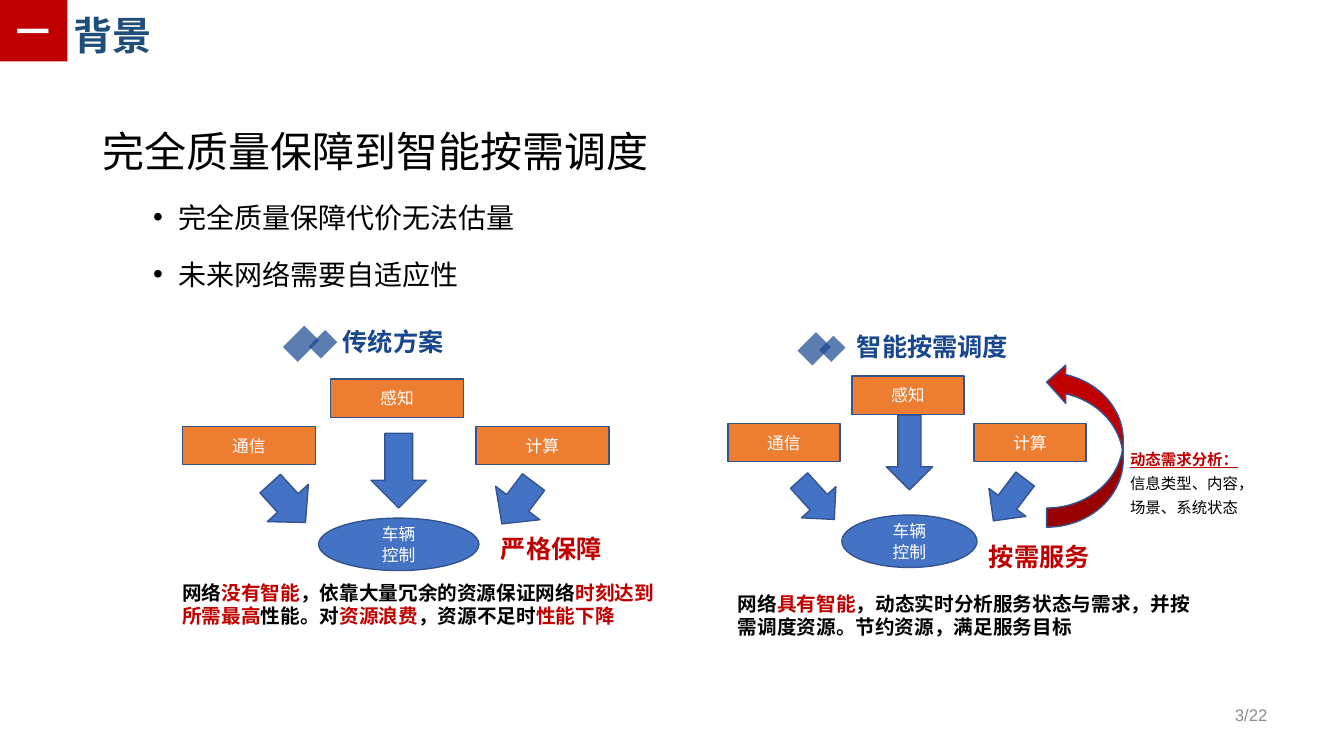
from lxml import etree
from pptx import Presentation
from pptx.dml.color import RGBColor
from pptx.enum.shapes import MSO_SHAPE
from pptx.enum.text import MSO_ANCHOR, MSO_AUTO_SIZE, PP_ALIGN
from pptx.oxml.ns import qn
from pptx.util import Emu, Pt

RECT, OVAL = MSO_SHAPE.RECTANGLE, MSO_SHAPE.OVAL
DOWN, CURVED = MSO_SHAPE.DOWN_ARROW, MSO_SHAPE.CURVED_RIGHT_ARROW
TOP, MIDDLE = MSO_ANCHOR.TOP, MSO_ANCHOR.MIDDLE
LEFT, CENTER, RIGHT = PP_ALIGN.LEFT, PP_ALIGN.CENTER, PP_ALIGN.RIGHT
GROW = MSO_AUTO_SIZE.SHAPE_TO_FIT_TEXT

PX = 9144  # 100 px to the inch
CJK, LATIN = "Noto Sans CJK SC", "Arial"
RED, BLUE, ORANGE, EDGE = "C00000", "4472C4", "ED7D31", "325491"
NAVY, TITLE, GREY = "18478F", "1F4E79", "8C8C8C"
BLACK, WHITE = "000000", "FFFFFF"


def px(length):
    return Emu(round(length) * PX)


def color(code):
    return RGBColor.from_string(code)


def add_span(para, text, size=12, ink=BLACK, font=CJK, bold=False, underline=False):
    span = para.add_run()
    span.text = text
    span.font.size = Pt(size)
    span.font.bold = bold
    span.font.underline = underline
    span.font.color.rgb = color(ink)
    span.font.name = font
    east_asian = etree.SubElement(span._r.get_or_add_rPr(), qn("a:ea"))
    east_asian.set("typeface", CJK)


class Page:
    def __init__(self, deck):
        self.shapes = deck.slides.add_slide(deck.slide_layouts[6]).shapes

    def shape(self, kind, left, top, width, height, fill, edge=None, turn=0, alpha=None):
        shape = self.shapes.add_shape(kind, px(left), px(top), px(width), px(height))
        shape.shadow.inherit = False
        shape.rotation = turn
        shape.fill.solid()
        shape.fill.fore_color.rgb = color(fill)
        if alpha:
            tint = shape._element.spPr.find(".//" + qn("a:srgbClr"))
            etree.SubElement(tint, qn("a:alpha")).set("val", str(alpha * 1000))
        if edge:
            shape.line.color.rgb = color(edge)
            shape.line.width = Pt(1)
        else:
            shape.line.fill.background()
        return shape

    def label(self, shape, *lines, **style):
        frame = shape.text_frame
        frame.vertical_anchor = MIDDLE
        for index, line in enumerate(lines):
            para = frame.add_paragraph() if index else frame.paragraphs[0]
            para.alignment = CENTER
            add_span(para, line, ink=WHITE, **style)

    def text(self, left, top, width, height, spans, align=LEFT, anchor=TOP, grow=True, **style):
        """Spans are (text, colour) pairs in one paragraph."""
        box = self.shapes.add_textbox(px(left), px(top), px(width), px(height))
        frame = box.text_frame
        frame.word_wrap = True
        frame.vertical_anchor = anchor
        if grow:
            frame.auto_size = GROW
        para = frame.paragraphs[0]
        para.alignment = align
        for words, ink in spans:
            add_span(para, words, ink=ink, **style)
        return frame

    def bullet(self, frame, words, size):
        para = frame.add_paragraph()
        para.level = 1
        para.line_spacing = 1.5
        para.space_before = Pt(5)
        properties = para._p.get_or_add_pPr()
        properties.set("marL", str(px(75)))
        properties.set("indent", str(px(-25)))
        etree.SubElement(properties, qn("a:buFont")).set("typeface", LATIN)
        etree.SubElement(properties, qn("a:buChar")).set("char", "•")
        add_span(para, words, size)

    def heading(self, diamonds, left, top, width, words):
        for diamond in diamonds:
            self.shape(RECT, *diamond, NAVY, turn=225, alpha=70)
        self.text(left, top, width, 40, [(words, NAVY)], size=18, bold=True)

    def scheme(self, left, top, stretch):
        """Three inputs flowing into vehicle control; stretch scales the widths."""
        def place(x, y, width, height):
            return left + x * stretch, top + y, width * stretch, height

        for words, x, y in (("通信", 0, 47), ("感知", 147, 0), ("计算", 291, 47)):
            box = self.shape(RECT, *place(x, y, 132, 38), ORANGE, EDGE)
            self.label(box, words)
        control = self.shape(OVAL, *place(135, 138, 159, 52), BLUE, EDGE)
        self.label(control, "车辆", "控制")
        arrows = ((77, 97, 52, 317.8), (187, 54 if stretch == 1 else 39, 74, 0), (305, 97, 52, 37.1))
        for x, y, height, turn in arrows:
            self.shape(DOWN, *place(x, y, 55, height), BLUE, EDGE, turn)


def main():
    deck = Presentation()
    deck.slide_width, deck.slide_height = px(1333), px(750)
    page = Page(deck)

    # Header and page number
    page.label(page.shape(RECT, 0, 0, 67, 61, RED), "一", size=24, bold=True)
    page.text(63, 6, 604, 57, [("背景", TITLE)], size=28, bold=True)
    page.text(956, 683, 311, 52, [("3/22", GREY)], align=RIGHT, anchor=MIDDLE,
              grow=False, size=12, font=LATIN)

    # Main points
    points = page.text(92, 125, 1150, 327, [("完全质量保障到智能按需调度", BLACK)],
                       grow=False, size=30)
    points.paragraphs[0].line_spacing = 0.9
    points.paragraphs[0].space_before = Pt(10)
    for words in ("完全质量保障代价无法估量", "未来网络需要自适应性"):
        page.bullet(points, words, 20)

    # Traditional scheme
    page.heading([(288, 326, 21, 30), (312, 330, 17, 23)], 330, 319, 132, "传统方案")
    page.text(171, 571, 494, 57, [
        ("网络", BLACK), ("没有智能", RED), ("，依靠大量冗余的资源保证网络", BLACK),
        ("时刻达到所需最高", RED), ("性能。对", BLACK), ("资源浪费", RED),
        ("，资源不足时", BLACK), ("性能下降", RED)], size=14, bold=True)
    page.scheme(181, 376, 1)
    page.text(487, 524, 178, 40, [("严格保障", RED)], size=18, bold=True)

    # On-demand scheme
    page.heading([(797, 333, 21, 26), (817, 336, 17, 20)], 840, 324, 264, "智能按需调度")
    page.text(722, 582, 480, 57, [
        ("网络", BLACK), ("具有智能", RED),
        ("，动态实时分析服务状态与需求，并按需调度资源。节约资源，满足服务目标", BLACK)],
        size=14, bold=True)
    page.scheme(722, 373, 0.84)
    page.text(971, 532, 151, 40, [("按需服务", RED)], size=18, bold=True)

    # Feedback loop and its note
    page.shape(CURVED, 1038, 360, 76, 163, RED, EDGE, turn=180)
    note = page.text(1111, 436, 146, 104, [("动态需求分析：", RED)],
                     size=11, font=LATIN, bold=True, underline=True)
    add_span(note.add_paragraph(), "信息类型、内容，场景、系统状态", 11, font=LATIN)
    for para in note.paragraphs:
        para.line_spacing = 1.3

    deck.save("out.pptx")


if __name__ == "__main__":
    main()
